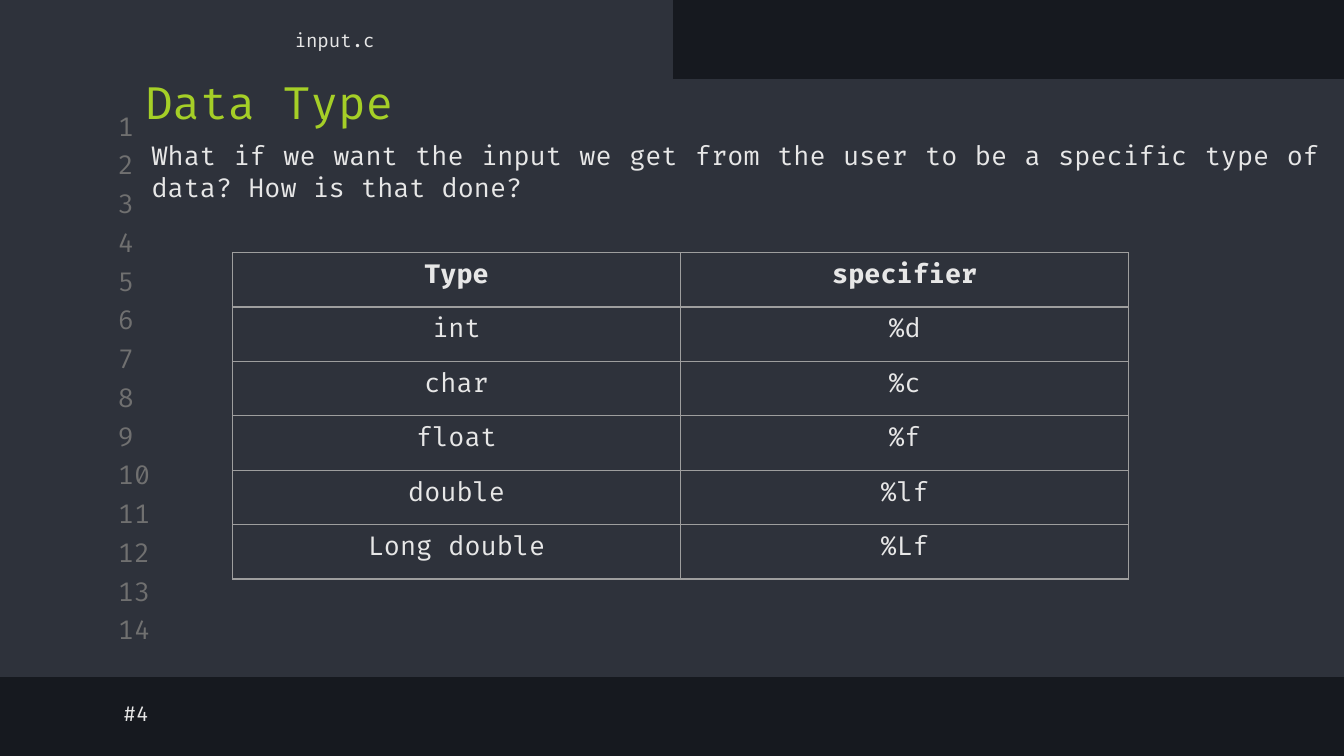
"""Build the Data Type slide of a code-editor themed deck."""
from dataclasses import dataclass

from lxml.etree import SubElement
from pptx import Presentation
from pptx.dml.color import RGBColor
from pptx.enum.shapes import MSO_SHAPE
from pptx.enum.text import MSO_ANCHOR, MSO_AUTO_SIZE, PP_ALIGN
from pptx.oxml.ns import qn
from pptx.slide import Slide
from pptx.table import _Cell
from pptx.text.text import TextFrame
from pptx.util import Inches, Pt

BACKGROUND = RGBColor(0x16, 0x19, 0x1F)
PANEL = RGBColor(0x2E, 0x32, 0x3B)
NUMBER = RGBColor(0x70, 0x70, 0x70)
TEXT = RGBColor(0xE7, 0xE7, 0xE7)
ACCENT = RGBColor(0xA5, 0xCF, 0x27)
BORDER = RGBColor(0x9E, 0x9E, 0x9E)

FONT = "Fira Code"
LINE_COUNT = 14
LINE_TOP = 0.815
LINE_STEP = 0.2883
ROW_HEIGHT = 0.405
COLUMN_WIDTH = 3.335
TYPE_ROWS = [
    ("Type", "specifier"),
    ("int", "%d"),
    ("char", "%c"),
    ("float", "%f"),
    ("double", "%lf"),
    ("Long double", "%Lf"),
]


@dataclass
class Area:
    left: float
    top: float
    width: float
    height: float

    def lengths(self) -> list[Inches]:
        return [Inches(value) for value in (self.left, self.top, self.width, self.height)]


@dataclass
class Label:
    text: str
    area: Area
    size: float
    color: RGBColor = TEXT
    align: PP_ALIGN = PP_ALIGN.LEFT
    anchor: MSO_ANCHOR = MSO_ANCHOR.MIDDLE
    inset: float = 0.1


PANELS = [Area(0, 0.59, 10, 4.44), Area(0, 0, 5, 0.65)]
TITLE = Label("Data Type", Area(0.98, 0.22, 6.43, 1.07), 24, ACCENT)
LINE_NUMBERS = [
    Label(str(index + 1), Area(0.78, LINE_TOP + index * LINE_STEP, 0.47, 0.24), 14, NUMBER)
    for index in range(LINE_COUNT)
]
LABELS = [
    Label("#4", Area(0.82, 5.11, 5.32, 0.39), 11),
    Label("input.c", Area(-0.01, 0.1, 5, 0.39), 10, align=PP_ALIGN.CENTER),
]
QUESTION = Label(
    "What if we want the input we get from the user to be a specific type of data? "
    "How is that done?",
    Area(1.03, 0.99, 8.89, 0.81), 14,
    align=PP_ALIGN.JUSTIFY, anchor=MSO_ANCHOR.TOP, inset=0.05,
)


def set_values(target: object, values: dict) -> None:
    for name, value in values.items():
        setattr(target, name, value)


def write_text(frame: TextFrame, text: str, size: float, color: RGBColor,
               align: PP_ALIGN, bold: bool = False) -> None:
    para = frame.paragraphs[0]
    para.alignment = align
    span = para.add_run()
    span.text = text
    set_values(span.font, {"name": FONT, "size": Pt(size), "bold": bold})
    span.font.color.rgb = color


def format_label(frame: TextFrame, label: Label) -> None:
    set_values(frame, {
        "word_wrap": True,
        "auto_size": MSO_AUTO_SIZE.NONE,
        "vertical_anchor": label.anchor,
        "margin_left": Inches(0.1),
        "margin_right": Inches(0.1),
        "margin_top": Inches(label.inset),
        "margin_bottom": Inches(label.inset),
    })
    write_text(frame, label.text, label.size, label.color, label.align)


def add_panel(page: Slide, area: Area) -> None:
    panel = page.shapes.add_shape(MSO_SHAPE.RECTANGLE, *area.lengths())
    panel.shadow.inherit = False
    panel.fill.solid()
    panel.fill.fore_color.rgb = PANEL
    panel.line.color.rgb = PANEL
    panel.line.width = Pt(0.75)


def add_label(page: Slide, label: Label) -> None:
    box = page.shapes.add_textbox(*label.area.lengths())
    format_label(box.text_frame, label)


def place_title(page: Slide, label: Label) -> None:
    title = page.shapes.title
    title.element.getparent().append(title.element)
    set_values(title, dict(zip(("left", "top", "width", "height"), label.area.lengths())))
    format_label(title.text_frame, label)


def add_borders(cell: _Cell) -> None:
    properties = cell._tc.get_or_add_tcPr()
    for side in ("a:lnL", "a:lnR", "a:lnT", "a:lnB"):
        line = SubElement(properties, qn(side), w=str(Pt(0.75)))
        fill = SubElement(line, qn("a:solidFill"))
        SubElement(fill, qn("a:srgbClr"), val=str(BORDER))


def add_type_table(page: Slide) -> None:
    area = Area(1.73, 1.88, 2 * COLUMN_WIDTH, len(TYPE_ROWS) * ROW_HEIGHT)
    table = page.shapes.add_table(len(TYPE_ROWS), 2, *area.lengths()).table
    set_values(table, {"first_row": False, "horz_banding": False})
    for row_index, row in enumerate(TYPE_ROWS):
        for column_index, text in enumerate(row):
            cell = table.cell(row_index, column_index)
            add_borders(cell)
            cell.fill.background()
            write_text(cell.text_frame, text, 14, TEXT, PP_ALIGN.CENTER, row_index == 0)


def main() -> None:
    deck = Presentation()
    set_values(deck, {"slide_width": Inches(10), "slide_height": Inches(5.625)})
    page = deck.slides.add_slide(deck.slide_layouts.get_by_name("Title Only"))
    page.background.fill.solid()
    page.background.fill.fore_color.rgb = BACKGROUND
    for area in PANELS:
        add_panel(page, area)
    for label in LINE_NUMBERS + LABELS:
        add_label(page, label)
    place_title(page, TITLE)
    add_label(page, QUESTION)
    add_type_table(page)
    deck.save("out.pptx")


if __name__ == "__main__":
    main()
